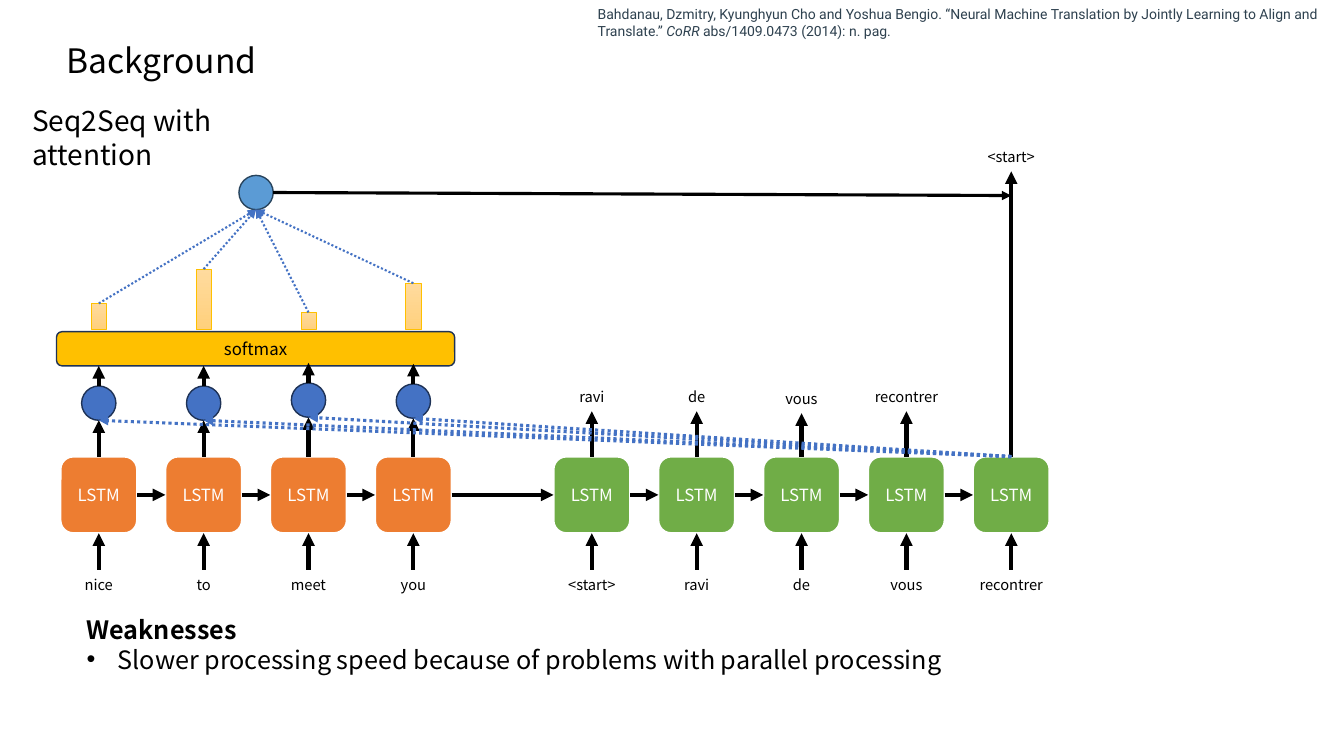
from lxml import etree
from pptx import Presentation
from pptx.dml.color import RGBColor
from pptx.enum.dml import MSO_LINE
from pptx.enum.shapes import MSO_CONNECTOR, MSO_SHAPE
from pptx.enum.text import MSO_ANCHOR, MSO_AUTO_SIZE, PP_ALIGN
from pptx.oxml.ns import qn
from pptx.util import Inches, Pt

STRAIGHT = MSO_CONNECTOR.STRAIGHT
DOTTED = MSO_LINE.ROUND_DOT
RECT, ROUND, OVAL = MSO_SHAPE.RECTANGLE, MSO_SHAPE.ROUNDED_RECTANGLE, MSO_SHAPE.OVAL
TOP, MIDDLE = MSO_ANCHOR.TOP, MSO_ANCHOR.MIDDLE
LEFT, CENTER = PP_ALIGN.LEFT, PP_ALIGN.CENTER
GROW = MSO_AUTO_SIZE.SHAPE_TO_FIT_TEXT

FONT = "Noto Sans CJK KR"
COLORS = {
    "black": "000000", "white": "FFFFFF", "encoder": "ED7D31", "decoder": "70AD47",
    "state": "4472C4", "state_line": "1E3256", "context": "5B9BD5",
    "context_line": "28445D", "softmax": "FFC000", "bar_top": "FFDB9E",
    "bar_bottom": "FFD07C", "citation": "2E414F",
}
PITCH, CELL, DOT, BAR_W = 1.04, 0.76, 0.34, 0.15
LABEL_W, LABEL_H = 0.83, 0.29


def rgb(name):
    return RGBColor.from_string(COLORS[name])


def add_run(p, text, size, color="black", font=FONT, **fmt):
    r = p.add_run()
    r.text = text
    for key, value in {"size": Pt(size), "name": font, **fmt}.items():
        setattr(r.font, key, value)
    r.font.color.rgb = rgb(color)


def text_box(s, box, anchor=TOP, inset=0.1):
    tf = s.shapes.add_textbox(*map(Inches, box)).text_frame
    fmt = {"word_wrap": True, "auto_size": GROW, "vertical_anchor": anchor,
           "margin_left": Inches(inset), "margin_right": Inches(inset)}
    for key, value in fmt.items():
        setattr(tf, key, value)
    return tf


def label(s, x, y, text):
    p = text_box(s, (x - LABEL_W / 2, y, LABEL_W, LABEL_H), MIDDLE, 0).paragraphs[0]
    p.alignment = CENTER
    add_run(p, text, 10.5)


def shape(s, kind, box, fill, line, width=1.0, text="", color="white"):
    sp = s.shapes.add_shape(kind, *map(Inches, box))
    sp.shadow.inherit = False
    sp.fill.solid()
    sp.fill.fore_color.rgb = rgb(fill)
    sp.line.color.rgb = rgb(line)
    sp.line.width = Pt(width)
    if text:
        tf = sp.text_frame
        tf.vertical_anchor = MIDDLE
        p = tf.paragraphs[0]
        p.alignment = CENTER
        add_run(p, text, 12, color)
    return sp


def arrow(s, start, end, width=3.0, color="black", dash=None):
    c = s.shapes.add_connector(STRAIGHT, *map(Inches, (*start, *end)))
    c.line.color.rgb = rgb(color)
    c.line.width = Pt(width)
    if dash:
        c.line.dash_style = dash
    etree.SubElement(c.line._get_or_add_ln(), qn("a:tailEnd"), type="triangle")
    etree.SubElement(c._element.spPr, qn("a:effectLst"))


def centers(x, count):
    return [x + CELL / 2 + i * PITCH for i in range(count)]


def lstm_chain(s, x, y, words, fill):
    xs = centers(x, len(words))
    for cx, word in zip(xs, words):
        shape(s, ROUND, (cx - CELL / 2, y, CELL, CELL), fill, "white", 1.5, "LSTM")
        arrow(s, (cx, y + 1.12), (cx, y + CELL))
        label(s, cx, y + 1.12, word)
    for a, b in zip(xs, xs[1:]):
        arrow(s, (a + CELL / 2, y + CELL / 2), (b - CELL / 2, y + CELL / 2))


def decoder_outputs(s, x, y, outputs):
    for cx, (word, tip) in zip(centers(x, len(outputs)), outputs):
        arrow(s, (cx, y), (cx, tip))
        label(s, cx, tip - LABEL_H, word)


def attention(s, x, y, query, dots, bars):
    xs = centers(x, len(dots))
    softmax_y = y - 1.24
    bar_base = softmax_y - 0.02
    context_x, context_y = 2.54, 1.74
    for cx, dot_y in zip(xs, dots):
        arrow(s, (cx, y), (cx, dot_y + DOT))
        shape(s, OVAL, (cx - DOT / 2, dot_y, DOT, DOT), "state", "state_line")
    shape(s, ROUND, (x - 0.04, softmax_y, 3.95, DOT), "softmax", "state_line",
          text="softmax", color="black")
    for cx, dot_y, h in zip(xs, dots, bars):
        arrow(s, (cx, dot_y), (cx, dot_y - 0.2))
        bar = shape(s, RECT, (cx - BAR_W / 2, bar_base - h, BAR_W, h), "softmax", "softmax", 0.5)
        bar.fill.gradient()
        bar.fill.gradient_angle = 270
        for stop, name in zip(bar.fill.gradient_stops, ("bar_top", "bar_bottom")):
            stop.color.rgb = rgb(name)
    shape(s, OVAL, (context_x - DOT / 2, context_y, DOT, DOT), "context", "context_line")
    for cx, dot_y, h in zip(xs, dots, bars):
        arrow(s, (cx, bar_base - h), (context_x, context_y + DOT), 1.5, "state", DOTTED)
        arrow(s, query, (cx, dot_y + DOT), 2.25, "state", DOTTED)
    arrow(s, (context_x + DOT / 2, context_y + DOT / 2), (query[0], 1.94), 2.25)


def heading(s, box, text, size, anchor):
    add_run(text_box(s, box, anchor).paragraphs[0], text, size)


def citation(s, box):
    p = text_box(s, box, MIDDLE).paragraphs[0]
    parts = [
        ("Bahdanau, Dzmitry, Kyunghyun Cho and Yoshua Bengio. “Neural Machine Translation "
         "by Jointly Learning to Align and Translate.” ", False),
        ("CoRR", True),
        (" abs/1409.0473 (2014): n. pag.", False),
    ]
    for text, italic in parts:
        add_run(p, text, 10, "citation", "Roboto", italic=italic)


def weaknesses(s, box):
    tf = text_box(s, box)
    add_run(tf.paragraphs[0], "Weaknesses", 18, bold=True)
    p = tf.add_paragraph()
    p.alignment = LEFT
    add_run(p, "Slower processing speed because of problems with parallel processing", 18)
    pPr = p._p.get_or_add_pPr()
    pPr.set("marL", str(Inches(0.31)))
    pPr.set("indent", str(-Inches(0.31)))
    etree.SubElement(pPr, qn("a:buFont"), typeface="Arial")
    etree.SubElement(pPr, qn("a:buChar"), char="•")


def main():
    prs = Presentation()
    prs.slide_width, prs.slide_height = Inches(13.33), Inches(7.5)
    s = prs.slides.add_slide(prs.slide_layouts[6])
    enc_x, dec_x, row_y = 0.6, 5.49, 4.53
    heading(s, (0.56, 0.35, 3.92, 0.5), "Background", 24, MIDDLE)
    heading(s, (0.22, 0.98, 3.22, 0.44), "Seq2Seq with attention", 20, TOP)
    lstm_chain(s, enc_x, row_y, ["nice", "to", "meet", "you"], "encoder")
    lstm_chain(s, dec_x, row_y, ["<start>", "ravi", "de", "vous", "recontrer"], "decoder")
    arrow(s, (4.48, row_y + CELL / 2), (dec_x, row_y + CELL / 2))
    decoder_outputs(s, dec_x, row_y, [("ravi", 4.08), ("de", 4.08), ("vous", 4.1),
                                      ("recontrer", 4.08), ("<start>", 1.7)])
    query = (centers(dec_x, 5)[-1], row_y)
    attention(s, enc_x, row_y, query, [3.83, 3.83, 3.8, 3.81], [0.26, 0.6, 0.17, 0.46])
    weaknesses(s, (0.76, 6.04, 11.82, 0.71))
    citation(s, (5.83, 0, 7.48, 0.44))
    prs.save("out.pptx")


if __name__ == "__main__":
    main()
